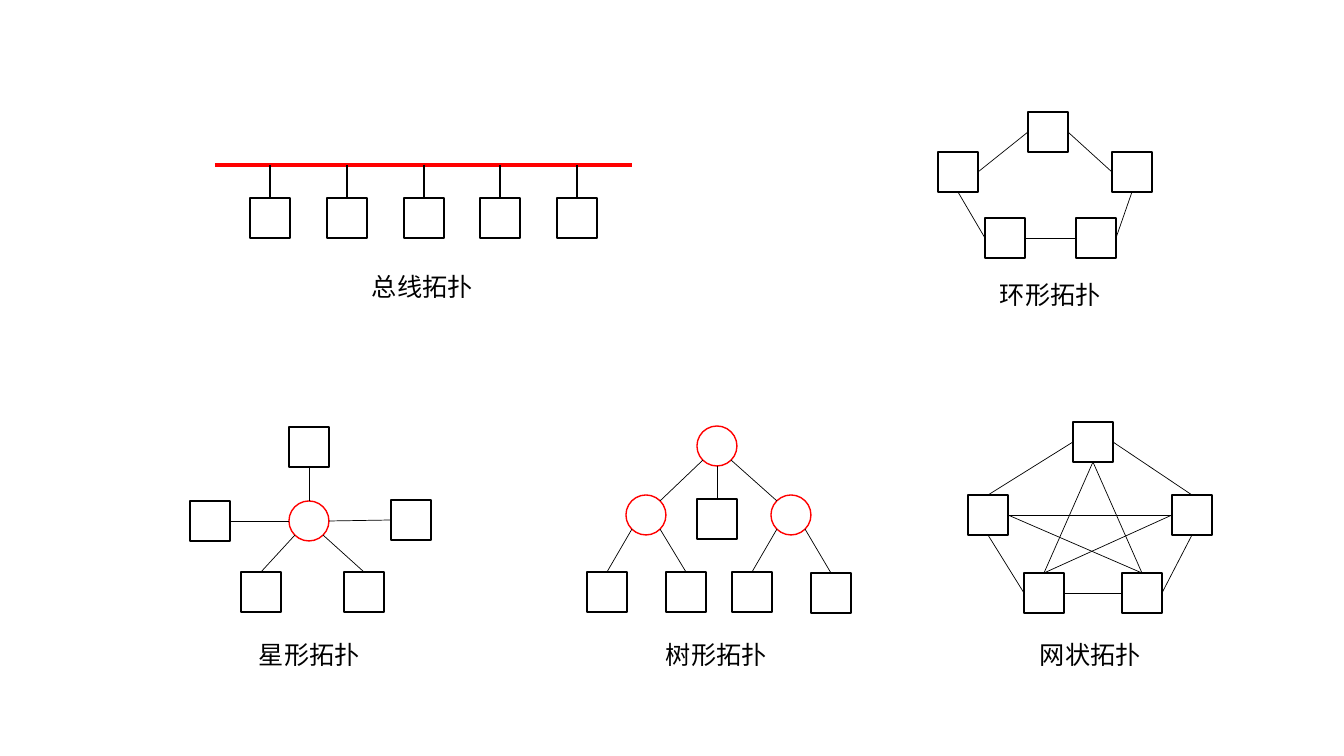
from lxml import etree
from pptx import Presentation, util as u
from pptx.dml.color import RGBColor
from pptx.enum import shapes, text
from pptx.oxml.ns import qn

FONT = "Noto Sans CJK SC"
BLACK, RED, WHITE = "000000", "FF0000", "FFFFFF"
NODE = 40
LABEL_WIDTH, LABEL_HEIGHT = 122, 40
SITES = ["top", "left", "bottom", "right"]
OFFSETS = {"top": (0, -1), "left": (-1, 0), "bottom": (0, 1), "right": (1, 0),
           "upper left": (-0.7, -0.7), "upper right": (0.7, -0.7),
           "lower left": (-0.7, 0.7), "lower right": (0.7, 0.7)}

BUS = {"left": 215, "right": 632, "y": 165}
STATIONS = {"count": 5, "left": 250, "step": 76.8, "top": 198}

LABELS = [("总线拓扑", 362, 266), ("环形拓扑", 990, 274), ("星形拓扑", 249, 634),
          ("树形拓扑", 656, 634), ("网状拓扑", 1030, 634)]

TOPOLOGIES = [
    {"squares": {"north": (1028, 112), "east": (1112, 152), "west": (938, 152),
                 "southwest": (985, 218), "southeast": (1076, 218)},
     "hubs": {},
     "links": [("north", "left", "west", "right"),
               ("west", "bottom", "southwest", "left"),
               ("southwest", "right", "southeast", "left"),
               ("north", "right", "east", "left"),
               ("southeast", "right", "east", "bottom")]},
    {"squares": {"west": (190, 501), "north": (289, 427), "southeast": (344, 572),
                 "east": (391, 500), "southwest": (241, 572)},
     "hubs": {"centre": (289, 501)},
     "links": [("centre", "top", "north", "bottom"),
               ("centre", "left", "west", "right"),
               ("east", "left", "centre", "right"),
               ("southwest", "top", "centre", "lower left"),
               ("southeast", "top", "centre", "lower right")]},
    {"squares": {"leaf 1": (587, 572), "leaf 2": (666, 572), "leaf 3": (732, 572),
                 "leaf 4": (811, 573), "middle": (697, 499)},
     "hubs": {"root": (697, 426), "west": (626, 495), "east": (771, 495)},
     "links": [("root", "lower left", "west", "upper right"),
               ("east", "upper left", "root", "lower right"),
               ("west", "lower left", "leaf 1", "top"),
               ("west", "lower right", "leaf 2", "top"),
               ("root", "bottom", "middle", "top"),
               ("east", "lower left", "leaf 3", "top"),
               ("east", "lower right", "leaf 4", "top")]},
    {"squares": {"north": (1073, 422), "east": (1172, 495), "west": (968, 495),
                 "southwest": (1024, 573), "southeast": (1122, 573)},
     "hubs": {},
     "links": [("north", "left", "west", "top"),
               ("west", "bottom", "southwest", "left"),
               ("southwest", "right", "southeast", "left"),
               ("north", "right", "east", "top"),
               ("southeast", "right", "east", "bottom"),
               ("north", "bottom", "southwest", "top"),
               ("north", "bottom", "southeast", "top"),
               ("east", "left", "west", "right"),
               ("southeast", "top", "west", "right"),
               ("east", "left", "southwest", "top")]},
]


def px(length):
    return round(length * 914400 / 100.8)


def color(value):
    return RGBColor.from_string(value)


def add_node(slide, preset, position, outline):
    left, top = position
    node = slide.shapes.add_shape(preset, px(left), px(top), px(NODE), px(NODE))
    node.shadow.inherit = False
    node.fill.solid()
    node.fill.fore_color.rgb = color(WHITE)
    node.line.color.rgb = color(outline)
    node.line.width = u.Pt(1)
    return node


def add_line(slide, start, end, stroke, width):
    line = slide.shapes.add_connector(
        shapes.MSO_CONNECTOR.STRAIGHT, *[px(value) for value in (*start, *end)])
    line.line.color.rgb = color(stroke)
    line.line.width = u.Pt(width)
    etree.SubElement(line._element.spPr, qn("a:effectLst"))
    return line


def site_point(position, side):
    return [corner + NODE / 2 * (1 + shift)
            for corner, shift in zip(position, OFFSETS[side])]


def draw_bus(slide):
    add_line(slide, (BUS["left"], BUS["y"]), (BUS["right"], BUS["y"]), RED, 3)
    for index in range(STATIONS["count"]):
        position = (round(STATIONS["left"] + index * STATIONS["step"]), STATIONS["top"])
        station = add_node(slide, shapes.MSO_SHAPE.RECTANGLE, position, BLACK)
        joint = site_point(position, "top")
        drop = add_line(slide, (joint[0], BUS["y"]), joint, BLACK, 1)
        drop.end_connect(station, SITES.index("top"))


def draw_topology(slide, topology):
    squares, hubs = topology["squares"], topology["hubs"]
    positions = {**squares, **hubs}
    nodes = {name: add_node(slide, shapes.MSO_SHAPE.RECTANGLE, position, BLACK)
             for name, position in squares.items()}
    for position in hubs.values():
        add_node(slide, shapes.MSO_SHAPE.OVAL, position, RED)
    for origin, exit_side, target, entry_side in topology["links"]:
        link = add_line(slide, site_point(positions[origin], exit_side),
                        site_point(positions[target], entry_side), BLACK, 0.5)
        if origin in nodes:
            link.begin_connect(nodes[origin], SITES.index(exit_side))
        if target in nodes:
            link.end_connect(nodes[target], SITES.index(entry_side))


def add_label(slide, caption, left, top):
    label = slide.shapes.add_textbox(px(left), px(top), px(LABEL_WIDTH), px(LABEL_HEIGHT))
    frame = label.text_frame
    frame.word_wrap = False
    frame.auto_size = text.MSO_AUTO_SIZE.SHAPE_TO_FIT_TEXT
    frame.text = caption
    run = frame.paragraphs[0].runs[0]
    run.font.size = u.Pt(18)
    run.font.name = FONT
    run.font.color.rgb = color(BLACK)
    east_asian = etree.SubElement(run.font._element, qn("a:ea"))
    east_asian.set("typeface", FONT)


def main():
    deck = Presentation()
    deck.slide_width, deck.slide_height = px(1344), px(756)
    slide = deck.slides.add_slide(deck.slide_layouts[6])
    draw_bus(slide)
    for topology in TOPOLOGIES:
        draw_topology(slide, topology)
    for label in LABELS:
        add_label(slide, *label)
    deck.save("out.pptx")


if __name__ == "__main__":
    main()
